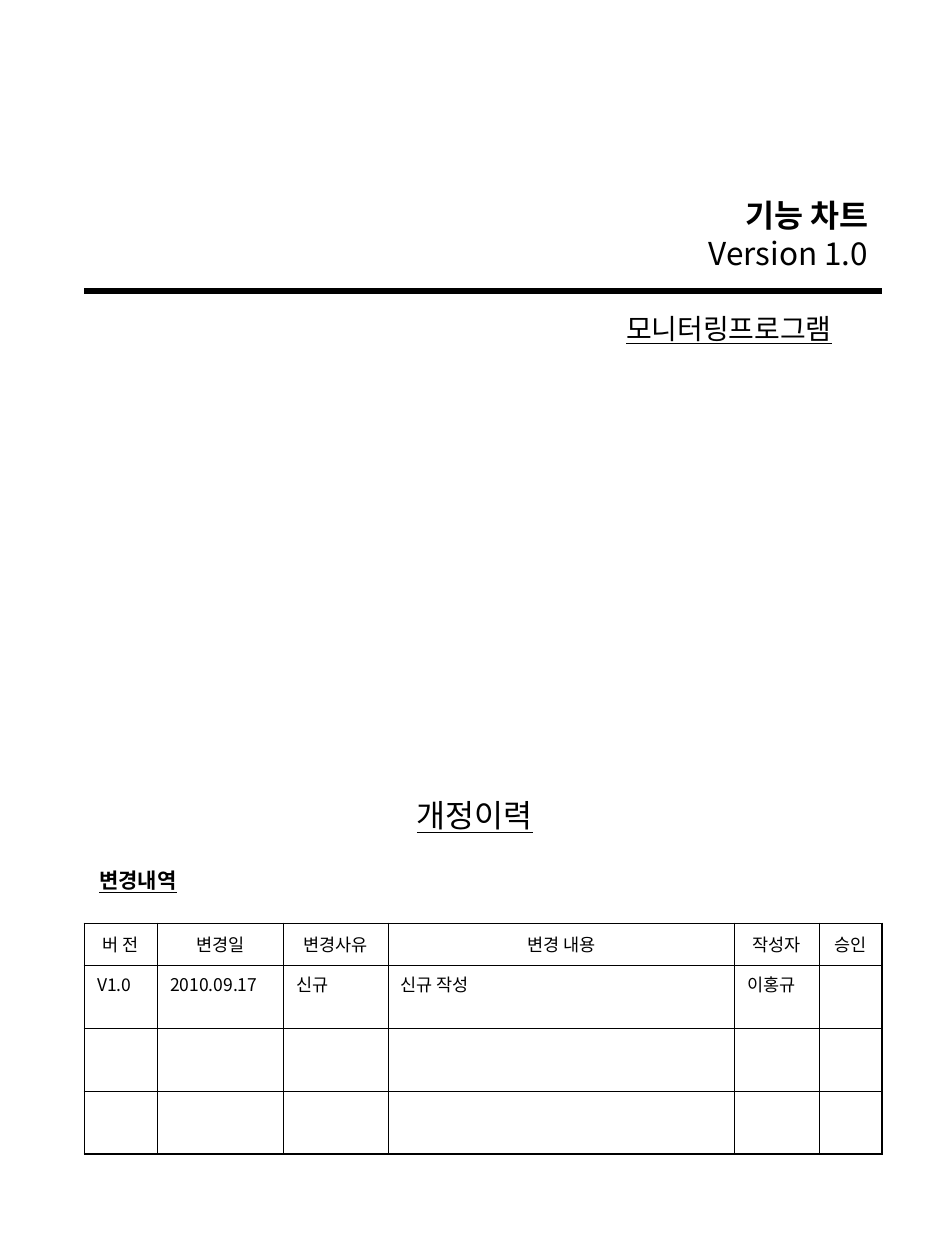
import pptx
import pptx.util
import pptx.dml.color
import pptx.enum.shapes
import pptx.enum.text
import pptx.oxml.ns
from lxml import etree

Inches, Pt = pptx.util.Inches, pptx.util.Pt
ALIGN = pptx.enum.text.PP_ALIGN
ANCHOR = pptx.enum.text.MSO_ANCHOR
qn = pptx.oxml.ns.qn

BLACK = pptx.dml.color.RGBColor(0x00, 0x00, 0x00)
WHITE = pptx.dml.color.RGBColor(0xFF, 0xFF, 0xFF)
FONT = "Noto Sans CJK KR"
THIN, THICK = 0.45, 1.08

# Content: box, wrap, alignment, then (text, size, bold, underline, line spacing)
TITLE = ((1.42, 1.33, 5.57, 0.88), True, ALIGN.RIGHT,
         [("기능 차트", 18, True, False, 1.6), ("Version 1.0", 18, False, False, 1.0)])
HISTORY = ((3.21, 6.27, 1.12, 0.4), False, ALIGN.LEFT,
           [("개정이력", 18, False, True, 1.0)])
CHANGES = ((0.69, 6.84, 0.81, 0.3), False, ALIGN.LEFT,
           [("변경내역", 12, True, True, 1.0)])
PROGRAM = ((4.87, 2.42, 1.83, 0.37), False, ALIGN.RIGHT,
           [("모니터링프로그램", 16, False, True, 1.0)])

ROWS = [
    ["버 전", "변경일", "변경사유", "변경 내용", "작성자", "승인"],
    ["V1.0", "2010.09.17", "신규", "신규 작성", "이홍규", ""],
    [""] * 6,
    [""] * 6,
]
COL_WIDTHS = [0.58, 1, 0.83, 2.75, 0.67, 0.5]
ROW_HEIGHTS = [0.33, 0.5, 0.5, 0.5]


def style_run(r, size, bold=False, underline=False):
    r.font.name = FONT
    r.font.size = Pt(size)
    r.font.bold = bold
    r.font.underline = underline
    r.font.color.rgb = BLACK
    etree.SubElement(r.font._element, qn("a:ea"), typeface=FONT)


def add_text(s, box, wrap, align, lines):
    tf = s.shapes.add_textbox(*map(Inches, box)).text_frame
    tf.word_wrap = wrap
    tf.text = "\n".join(line[0] for line in lines)
    for p, (_, size, bold, underline, spacing) in zip(tf.paragraphs, lines):
        p.alignment = align
        p.line_spacing = spacing
        style_run(p.runs[0], size, bold, underline)


def set_borders(cell, widths):
    """Widths run left, right, top, bottom and precede the cell's fill."""
    tc_pr = cell._tc.get_or_add_tcPr()
    for i, (side, width) in enumerate(zip("LRTB", widths)):
        ln = etree.Element(qn(f"a:ln{side}"), w=str(int(Pt(width))))
        fill = etree.SubElement(ln, qn("a:solidFill"))
        etree.SubElement(fill, qn("a:srgbClr"), val=str(BLACK))
        tc_pr.insert(i, ln)


def add_history_table(s):
    n_rows, n_cols = len(ROWS), len(COL_WIDTHS)
    table = s.shapes.add_table(n_rows, n_cols, Inches(0.67), Inches(7.33),
                               Inches(sum(COL_WIDTHS)), Inches(sum(ROW_HEIGHTS))).table
    table.horz_banding = False
    for col, width in zip(table.columns, COL_WIDTHS):
        col.width = Inches(width)
    for i, (row, height) in enumerate(zip(table.rows, ROW_HEIGHTS)):
        row.height = Inches(height)
        for j, cell in enumerate(row.cells):
            cell.fill.background()
            edges = (j == 0, j == n_cols - 1, i == 0, i == n_rows - 1)
            set_borders(cell, [THICK if edge else THIN for edge in edges])
            cell.vertical_anchor = ANCHOR.MIDDLE if i == 0 else ANCHOR.TOP
            if ROWS[i][j]:
                p = cell.text_frame.paragraphs[0]
                p.text = ROWS[i][j]
                p.alignment = ALIGN.CENTER if i == 0 else ALIGN.LEFT
                style_run(p.runs[0], 10)


prs = pptx.Presentation()
prs.slide_width, prs.slide_height = Inches(7.5), Inches(10)
s = prs.slides.add_slide(prs.slide_layouts[6])

# Rule under the title
rule = s.shapes.add_connector(pptx.enum.shapes.MSO_CONNECTOR.STRAIGHT,
                              Inches(0.67), Inches(2.31), Inches(7), Inches(2.31))
rule.line.color.rgb = BLACK
rule.line.width = Pt(3)
etree.SubElement(rule._element.spPr, qn("a:effectLst"))

# Title and revision history
for block in (TITLE, HISTORY, CHANGES):
    add_text(s, *block)
add_history_table(s)

# White band across the top
band = s.shapes.add_shape(pptx.enum.shapes.MSO_SHAPE.RECTANGLE,
                          Inches(0.42), Inches(0.33), Inches(6.75), Inches(1))
band.shadow.inherit = False
band.fill.solid()
band.fill.fore_color.rgb = WHITE
band.line.color.rgb = WHITE
band.line.width = Pt(0.75)

# Program name
add_text(s, *PROGRAM)

prs.save("out.pptx")
